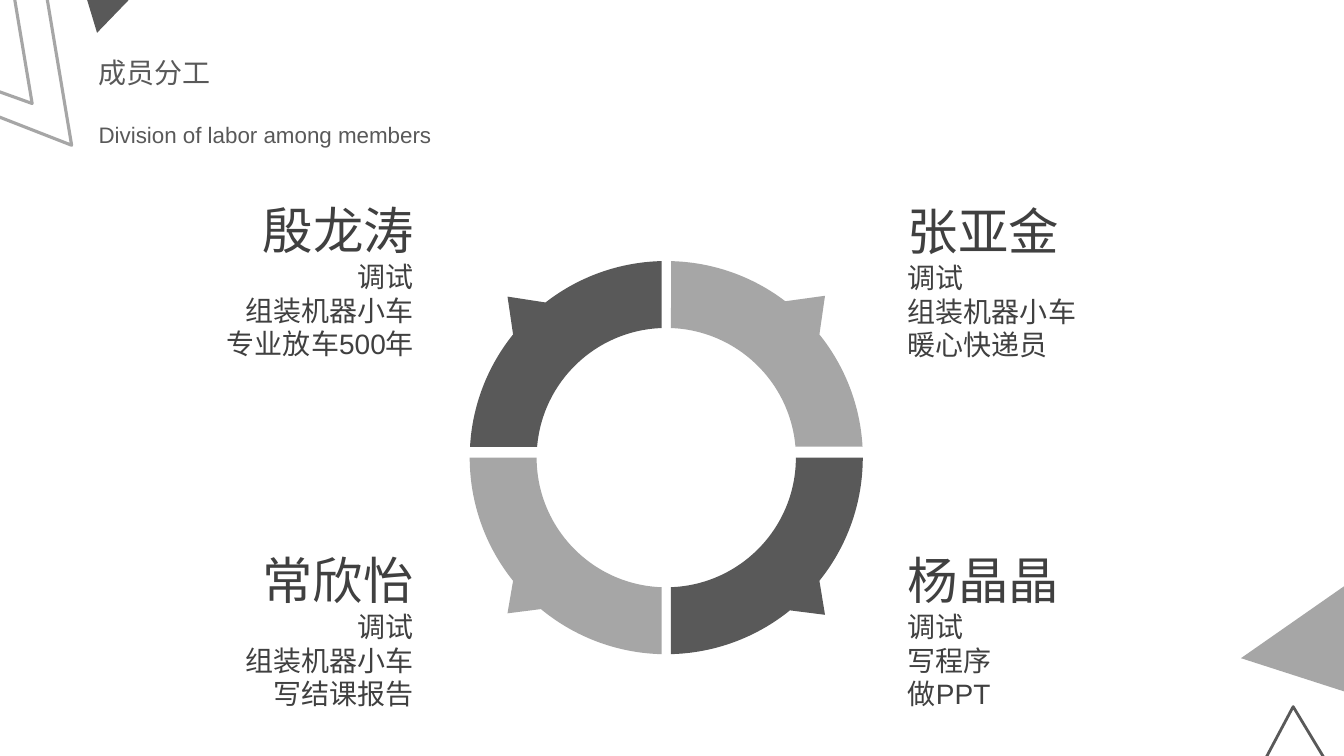
import math
from dataclasses import dataclass
from typing import Optional

import lxml.etree
import pptx
import pptx.dml.color
import pptx.enum.shapes
import pptx.enum.text
import pptx.oxml.ns
import pptx.util

Pt = pptx.util.Pt
Color = pptx.dml.color.RGBColor
Align = pptx.enum.text.PP_ALIGN
Point = tuple[float, float]


@dataclass(frozen=True)
class Theme:
    dark: Color = Color(0x59, 0x59, 0x59)
    light: Color = Color(0xA6, 0xA6, 0xA6)
    body: Color = Color(0x40, 0x40, 0x40)
    font: str = "Arial"
    name_size: float = 36
    text_size: float = 20
    subtitle_size: float = 16


@dataclass(frozen=True)
class Triangle:
    left: float
    top: float
    width: float
    height: float
    rotation: float
    color: Color
    line_width: Optional[float] = None


@dataclass(frozen=True)
class Segment:
    side_x: int
    side_y: int
    gap_y: float
    tip_y: float
    pointer_end: float
    color: Color


@dataclass(frozen=True)
class TextBlock:
    left: float
    top: float
    width: float
    height: float
    lines: tuple[str, ...]
    sizes: tuple[float, ...]
    color: Color
    align: Optional[Align] = None
    line_spacing: Optional[float] = None


THEME = Theme()
SLIDE_WIDTH, SLIDE_HEIGHT = 960, 540
RING_X, RING_Y = 475.9, 326.9
OUTER_RADIUS, INNER_RADIUS = 140.4, 92.6
GAP_X, TIP_X = 3.4, 113.4
POINTER_START = 38.8
RING_ROTATION = 45
ARC_STARTS = (1, 6, 10)

TRIANGLES = (
    Triangle(41.04, -43.2, 59.76, 53.28, 314, THEME.dark),
    Triangle(-103.68, -27.36, 155.52, 130.32, 260.5, THEME.light, 2.25),
    Triangle(-66.96, -2.16, 87.84, 78.48, 260.5, THEME.light, 2.25),
    Triangle(907.92, 394.56, 218.88, 144, 145.1, THEME.light),
    Triangle(894.96, 522, 78.48, 65.52, 118, THEME.dark, 2),
)

SEGMENTS = (
    Segment(-1, -1, 7.6, 115, 52.1, THEME.dark),
    Segment(-1, 1, 0, 111.2, 50.4, THEME.light),
    Segment(1, -1, 7.8, 115.6, 52.7, THEME.light),
    Segment(1, 1, 0, 112.3, 51, THEME.dark),
)


def member(left: float, top: float, width: float, align: Optional[Align],
           *lines: str) -> TextBlock:
    sizes = (THEME.name_size,) + (THEME.text_size,) * (len(lines) - 1)
    return TextBlock(left, top, width, 123.84, lines, sizes, THEME.body, align)


TEXT_BLOCKS = (
    TextBlock(63.36, 63.6, 322.56, 40.32, ("Division of labor among members",),
              (THEME.subtitle_size,), THEME.dark, line_spacing=2),
    TextBlock(63.36, 36, 240.48, 31.68, ("成员分工",), (THEME.text_size,), THEME.dark),
    member(641.4, 139.4, 213.12, None, "张亚金", "调试", "组装机器小车", "暖心快递员"),
    member(641.4, 388.6, 213.12, None, "杨晶晶", "调试", "写程序", "做PPT"),
    member(133.6, 138.7, 169.2, Align.RIGHT, "殷龙涛", "调试", "组装机器小车", "专业放车500年"),
    member(89.28, 388.6, 213.12, Align.RIGHT, "常欣怡", "调试", "组装机器小车", "写结课报告"),
)


def fill_shape(shape, color: Color) -> None:
    shape.shadow.inherit = False
    shape.fill.solid()
    shape.fill.fore_color.rgb = color
    shape.line.fill.background()


def draw_triangle(slide, triangle: Triangle) -> None:
    shape = slide.shapes.add_shape(
        pptx.enum.shapes.MSO_SHAPE.ISOSCELES_TRIANGLE,
        Pt(triangle.left), Pt(triangle.top), Pt(triangle.width), Pt(triangle.height))
    shape.rotation = triangle.rotation
    fill_shape(shape, triangle.color)
    if triangle.line_width is not None:
        shape.fill.background()
        shape.line.color.rgb = triangle.color
        shape.line.width = Pt(triangle.line_width)


def arc(radius: float, start: float, end: float) -> list[Point]:
    pull = 4 / 3 * math.tan((end - start) / 4)
    start_x, start_y = radius * math.cos(start), radius * math.sin(start)
    end_x, end_y = radius * math.cos(end), radius * math.sin(end)
    return [(start_x, start_y),
            (start_x - pull * start_y, start_y + pull * start_x),
            (end_x + pull * end_y, end_y - pull * end_x),
            (end_x, end_y)]


def rotate(x: float, y: float, degrees: float) -> Point:
    cosine, sine = math.cos(math.radians(degrees)), math.sin(math.radians(degrees))
    return x * cosine - y * sine, x * sine + y * cosine


def curve_arcs(shape) -> None:
    outline = shape.element.xpath(".//a:path")[0]
    steps = list(outline)
    for first in ARC_STARTS:
        curve = lxml.etree.Element(pptx.oxml.ns.qn("a:cubicBezTo"))
        steps[first].addprevious(curve)
        for step in steps[first:first + 3]:
            curve.append(step[0])
            outline.remove(step)


def draw_segment(slide, segment: Segment) -> None:
    def limits(radius: float) -> tuple[float, float]:
        return math.asin(segment.gap_y / radius), math.acos(GAP_X / radius)

    outer_start, outer_end = limits(OUTER_RADIUS)
    inner_start, inner_end = limits(INNER_RADIUS)
    outline = (
        arc(OUTER_RADIUS, outer_start, math.radians(POINTER_START))
        + [(TIP_X, segment.tip_y)]
        + arc(OUTER_RADIUS, math.radians(segment.pointer_end), outer_end)
        + arc(INNER_RADIUS, inner_end, inner_start)
    )
    turned = [rotate(segment.side_x * x, segment.side_y * y, -RING_ROTATION)
              for x, y in outline]
    points = [(Pt(RING_X + x), Pt(RING_Y + y)) for x, y in turned]
    builder = slide.shapes.build_freeform(*points[0])
    builder.add_line_segments(points[1:], close=True)
    shape = builder.convert_to_shape()
    curve_arcs(shape)
    center_x, center_y = rotate(shape.left + shape.width / 2 - Pt(RING_X),
                                shape.top + shape.height / 2 - Pt(RING_Y), RING_ROTATION)
    shape.left = round(Pt(RING_X) + center_x - shape.width / 2)
    shape.top = round(Pt(RING_Y) + center_y - shape.height / 2)
    shape.rotation = RING_ROTATION
    fill_shape(shape, segment.color)


def draw_text(slide, block: TextBlock) -> None:
    shape = slide.shapes.add_textbox(
        Pt(block.left), Pt(block.top), Pt(block.width), Pt(block.height))
    text_frame = shape.text_frame
    text_frame.word_wrap = True
    text_frame.auto_size = pptx.enum.text.MSO_AUTO_SIZE.SHAPE_TO_FIT_TEXT
    text_frame.text = "\n".join(block.lines)
    for paragraph, size in zip(text_frame.paragraphs, block.sizes):
        paragraph.alignment = block.align
        paragraph.line_spacing = block.line_spacing
        for run in paragraph.runs:
            run.font.name = THEME.font
            run.font.size = Pt(size)
            run.font.color.rgb = block.color


def main() -> None:
    presentation = pptx.Presentation()
    presentation.slide_width = Pt(SLIDE_WIDTH)
    presentation.slide_height = Pt(SLIDE_HEIGHT)
    slide = presentation.slides.add_slide(presentation.slide_layouts[6])
    for triangle in TRIANGLES:
        draw_triangle(slide, triangle)
    for segment in SEGMENTS:
        draw_segment(slide, segment)
    for block in TEXT_BLOCKS:
        draw_text(slide, block)
    presentation.save("out.pptx")


if __name__ == "__main__":
    main()
